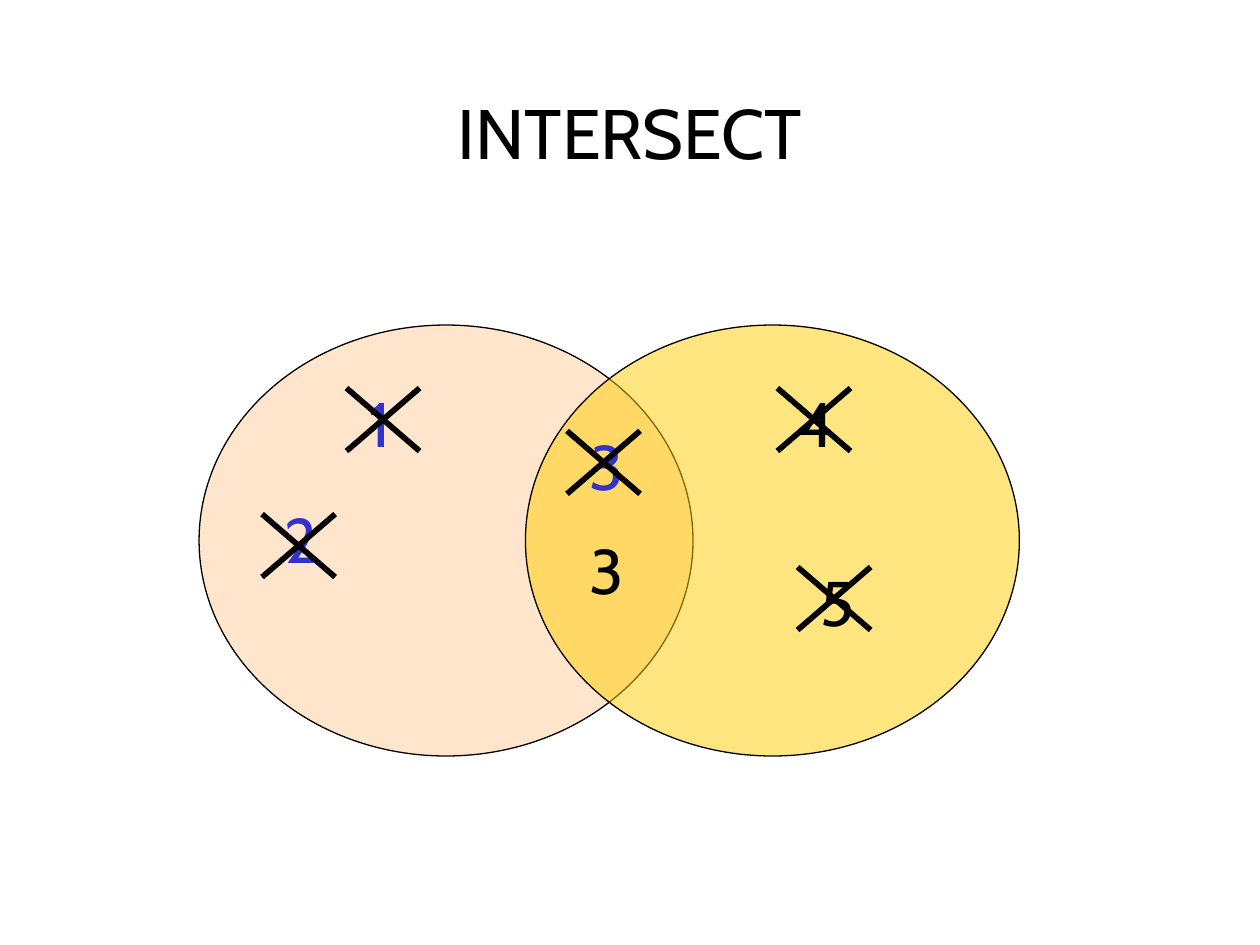
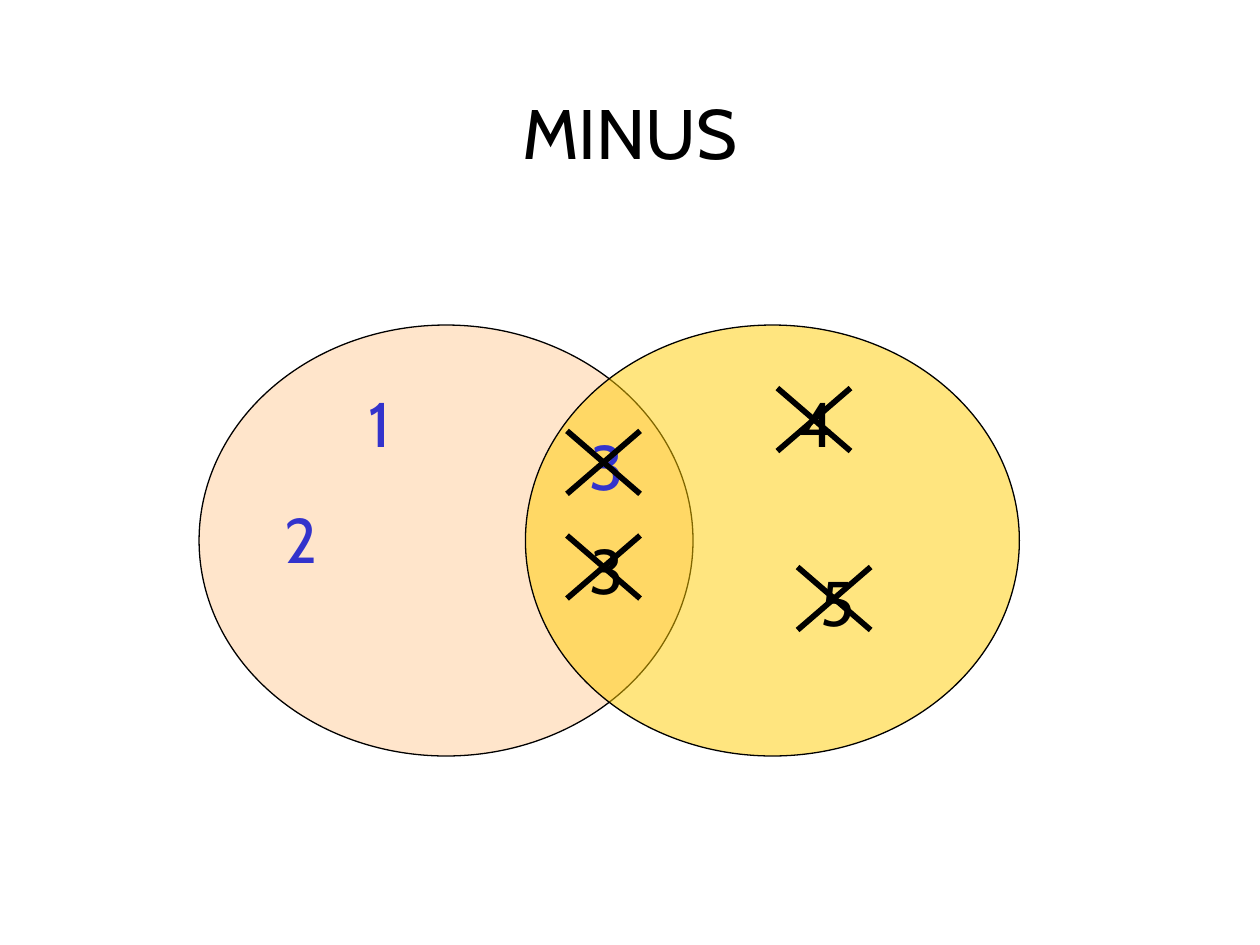
from lxml import etree
from pptx import Presentation
from pptx import util as u
from pptx.dml.color import RGBColor
from pptx.enum import shapes, text
from pptx.oxml import ns

BLACK = RGBColor(0x00, 0x00, 0x00)
BLUE = RGBColor(0x33, 0x33, 0xCC)
PEACH = RGBColor(0xFF, 0xCC, 0x99)
GOLD = RGBColor(0xFF, 0xCC, 0x00)
FONT = "Cabin"

CIRCLES = [(1.58, PEACH), (4.17, GOLD)]
NUMBERS = {
    "right 3": ("3", 4.58, 4.17, BLACK),
    "left 3": ("3", 4.58, 3.34, BLUE),
    "5": ("5", 6.41, 4.42, BLACK),
    "4": ("4", 6.25, 3.0, BLACK),
    "2": ("2", 2.16, 3.92, BLUE),
    "1": ("1", 2.83, 3.0, BLUE),
}
CROSSES = {
    "left 3": (4.5, 3.42),
    "1": (2.75, 3.08),
    "2": (2.08, 4.08),
    "5": (6.33, 4.5),
    "4": (6.17, 3.08),
    "right 3": (4.5, 4.25),
}
CROSS_WIDTH, CROSS_HEIGHT = 0.58, 0.5
OPERATIONS = [
    ("INTERSECT", ["left 3", "1", "2", "5", "4"]),
    ("MINUS", ["left 3", "5", "4", "right 3"]),
]


def write(frame, words, size=36, color=BLACK, align=text.PP_ALIGN.LEFT):
    para = frame.paragraphs[0]
    para.alignment = align
    span = para.add_run()
    span.text = words
    span.font.name = FONT
    span.font.size = u.Pt(size)
    span.font.color.rgb = color


deck = Presentation()
deck.slide_width = u.Inches(10)
deck.slide_height = u.Inches(7.5)

for operation, removed in OPERATIONS:
    page = deck.slides.add_slide(deck.slide_layouts[5])
    title = page.shapes.title
    title.left, title.top = u.Inches(0.75), u.Inches(0.67)
    title.width, title.height = u.Inches(8.5), u.Inches(0.75)
    title.text_frame.vertical_anchor = text.MSO_ANCHOR.MIDDLE
    write(title.text_frame, operation, size=40, align=text.PP_ALIGN.CENTER)

    for left, color in CIRCLES:
        circle = page.shapes.add_shape(
            shapes.MSO_SHAPE.OVAL,
            u.Inches(left), u.Inches(2.58), u.Inches(3.92), u.Inches(3.42))
        circle.shadow.inherit = False
        circle.fill.solid()
        circle.fill.fore_color.rgb = color
        tint = circle.fill._xPr.find(".//" + ns.qn("a:srgbClr"))
        etree.SubElement(tint, ns.qn("a:alpha"), val="50000")
        circle.line.color.rgb = BLACK
        circle.line.width = u.Pt(0.75)

    for digit, left, top, color in NUMBERS.values():
        box = page.shapes.add_textbox(
            u.Inches(left), u.Inches(top), u.Inches(0.48), u.Inches(0.7))
        box.text_frame.word_wrap = False
        box.text_frame.auto_size = text.MSO_AUTO_SIZE.SHAPE_TO_FIT_TEXT
        write(box.text_frame, digit, color=color)

    for number in removed:
        left, top = CROSSES[number]
        right, bottom = left + CROSS_WIDTH, top + CROSS_HEIGHT
        cross = page.shapes.add_group_shape()
        for start, end in [(left, right), (right, left)]:
            stroke = cross.shapes.add_connector(
                shapes.MSO_CONNECTOR.STRAIGHT,
                u.Inches(start), u.Inches(top), u.Inches(end), u.Inches(bottom))
            stroke.line.color.rgb = BLACK
            stroke.line.width = u.Pt(3.25)
            etree.SubElement(stroke._element.spPr, ns.qn("a:effectLst"))

deck.save("out.pptx")
